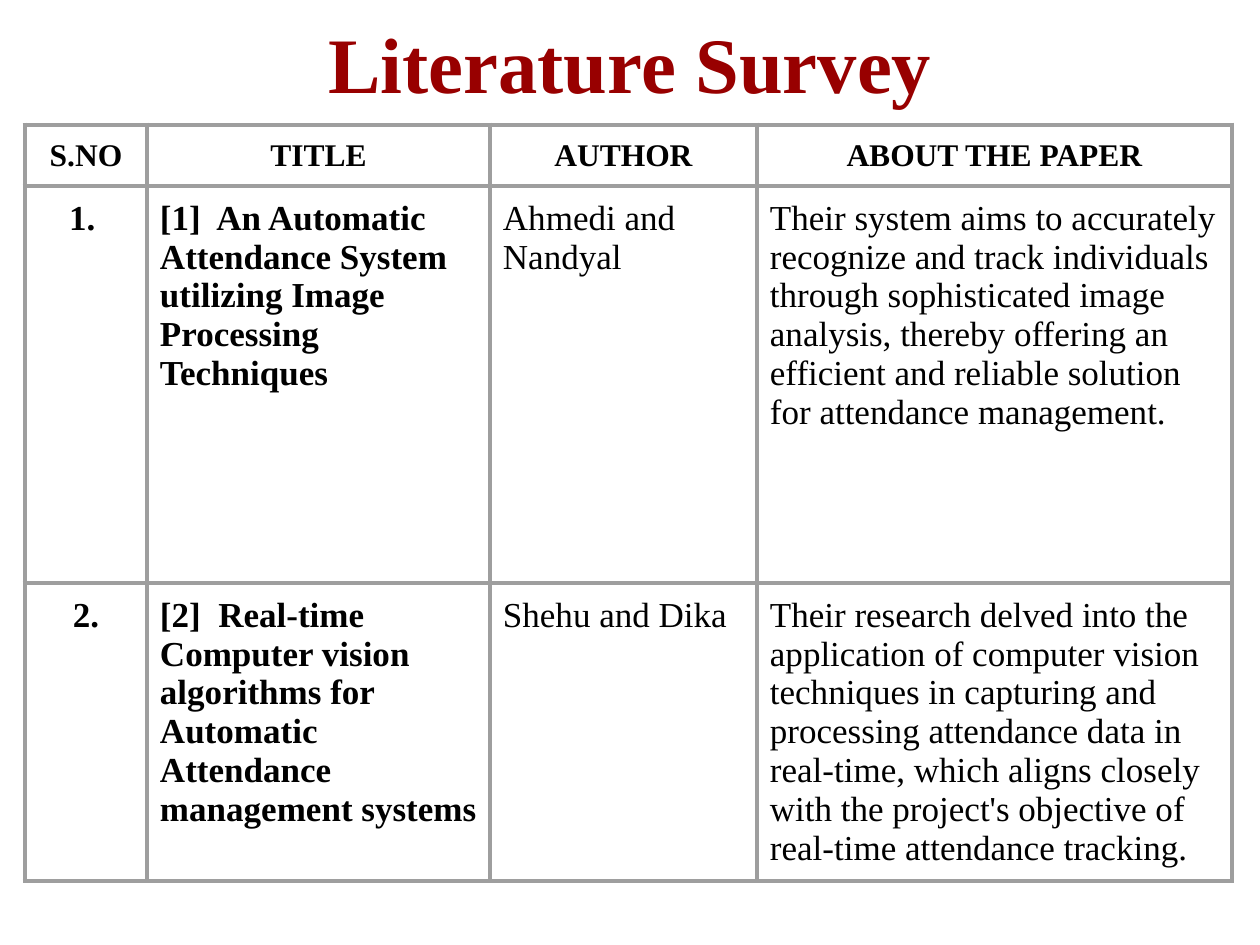
from lxml.etree import SubElement
from pptx import Presentation
from pptx.dml.color import RGBColor
from pptx.enum.text import MSO_ANCHOR, MSO_AUTO_SIZE, PP_ALIGN
from pptx.oxml.ns import qn
from pptx.util import Emu, Pt

FONT = "Times New Roman"
TITLE_RED, TEXT_BLACK, GRID_GREY = "980000", "000000", "9E9E9E"
COLUMN_WIDTHS = [122, 343, 267, 475]
ROW_HEIGHTS = [60, 397, 297]
HEADINGS = ["S.NO", "TITLE", "AUTHOR", "ABOUT THE PAPER"]
PAPERS = [
    (
        "1.",
        "[1]  An Automatic Attendance System utilizing Image Processing Techniques",
        "Ahmedi and Nandyal",
        "Their system aims to accurately recognize and track individuals through "
        "sophisticated image analysis, thereby offering an efficient and reliable "
        "solution for attendance management.",
    ),
    (
        "2.",
        "[2]  Real-time Computer vision algorithms for Automatic Attendance "
        "management systems",
        "Shehu and Dika",
        "Their research delved into the application of computer vision techniques "
        "in capturing and processing attendance data in real-time, which aligns "
        "closely with the project's objective of real-time attendance tracking.",
    ),
]


def px(count):
    """Turn whole pixels into EMU."""
    return Emu(round(count * 914400 / 126))


def color(value):
    """Turn a hex string into a colour."""
    return RGBColor.from_string(value)


def style_text(paragraph, size, value, bold, alignment):
    """Format a paragraph and its runs."""
    paragraph.alignment = alignment
    for run in paragraph.runs:
        run.font.name = FONT
        run.font.size = Pt(size)
        run.font.bold = bold
        run.font.color.rgb = color(value)


def add_borders(cell):
    """Draw the grid line on all four sides of a cell."""
    properties = cell._tc.get_or_add_tcPr()
    for position, side in enumerate(("lnL", "lnR", "lnT", "lnB")):
        border = SubElement(properties, qn(f"a:{side}"), w=str(Pt(3)))
        fill = SubElement(border, qn("a:solidFill"))
        SubElement(fill, qn("a:srgbClr"), val=GRID_GREY)
        properties.insert(position, border)


def fill_cell(cell, text, size, bold, alignment):
    """Write and format one table cell."""
    cell.text_frame.text = text
    cell.margin_left = cell.margin_right = px(13)
    cell.margin_top = cell.margin_bottom = px(13)
    cell.vertical_anchor = MSO_ANCHOR.TOP
    cell.fill.background()
    add_borders(cell)
    style_text(cell.text_frame.paragraphs[0], size, TEXT_BLACK, bold, alignment)


def set_title(slide, text):
    """Place and format the slide title."""
    title = slide.shapes.title
    title.left, title.top, title.width, title.height = map(px, (63, 0, 1134, 125))
    frame = title.text_frame
    frame.text = text
    frame.auto_size = MSO_AUTO_SIZE.NONE
    frame.vertical_anchor = MSO_ANCHOR.MIDDLE
    style_text(frame.paragraphs[0], 44.9, TITLE_RED, True, PP_ALIGN.CENTER)


def add_survey_table(slide):
    """Add the table of surveyed papers."""
    table = slide.shapes.add_table(
        len(ROW_HEIGHTS), len(COLUMN_WIDTHS),
        px(25), px(125), px(sum(COLUMN_WIDTHS)), px(sum(ROW_HEIGHTS)),
    ).table
    table.horz_banding = False
    for column, width in zip(table.columns, COLUMN_WIDTHS):
        column.width = px(width)
    for row, height in zip(table.rows, ROW_HEIGHTS):
        row.height = px(height)
    for column, heading in enumerate(HEADINGS):
        fill_cell(table.cell(0, column), heading, 18, True, PP_ALIGN.CENTER)
    for row, paper in enumerate(PAPERS, start=1):
        for column, text in enumerate(paper):
            centred = column == 0 and row > 1
            alignment = PP_ALIGN.CENTER if centred else PP_ALIGN.LEFT
            fill_cell(table.cell(row, column), text, 20, column < 2, alignment)
    first_number = table.cell(1, 0).text_frame.paragraphs[0]
    indents = first_number._p.get_or_add_pPr()
    indents.set("marL", str(px(63)))
    indents.set("indent", str(-px(32)))


def main():
    """Build and save the literature survey slide."""
    presentation = Presentation()
    presentation.slide_width, presentation.slide_height = px(1260), px(945)
    slide = presentation.slides.add_slide(presentation.slide_layouts[5])
    set_title(slide, "Literature Survey")
    add_survey_table(slide)
    presentation.save("out.pptx")


if __name__ == "__main__":
    main()
